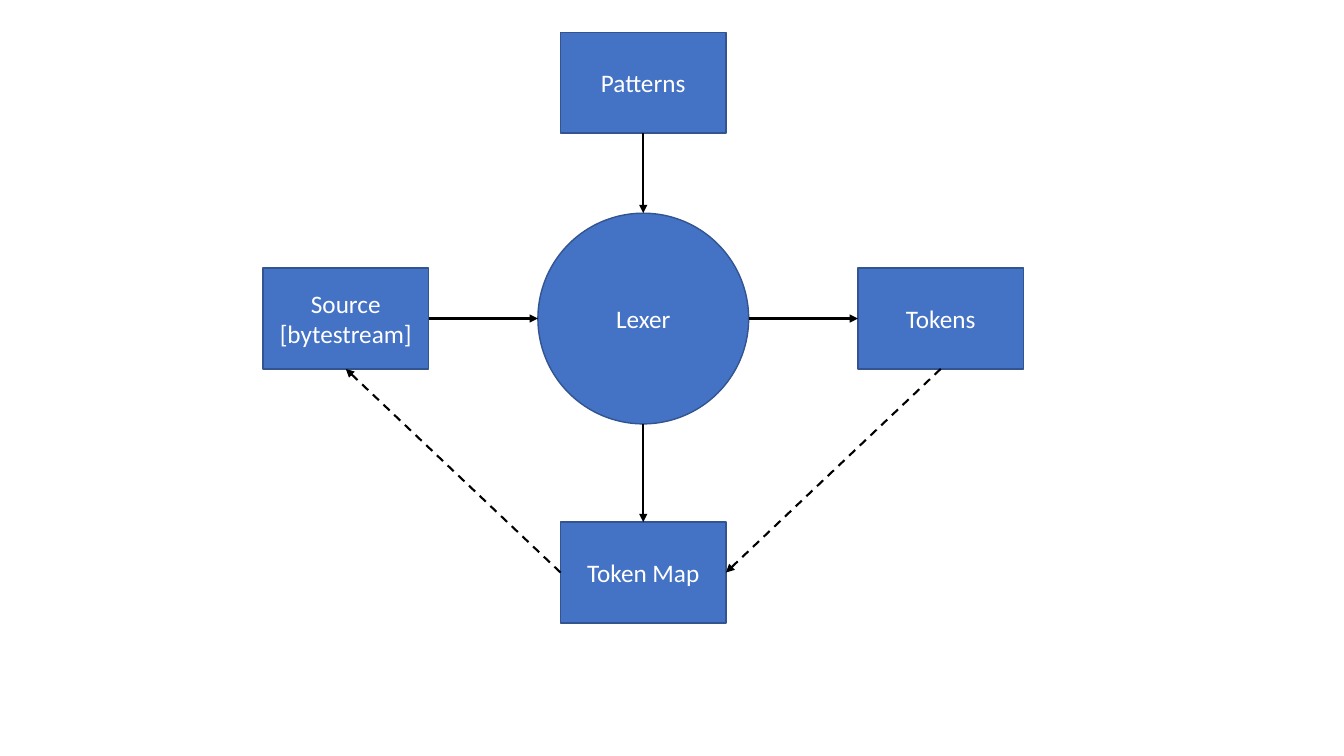
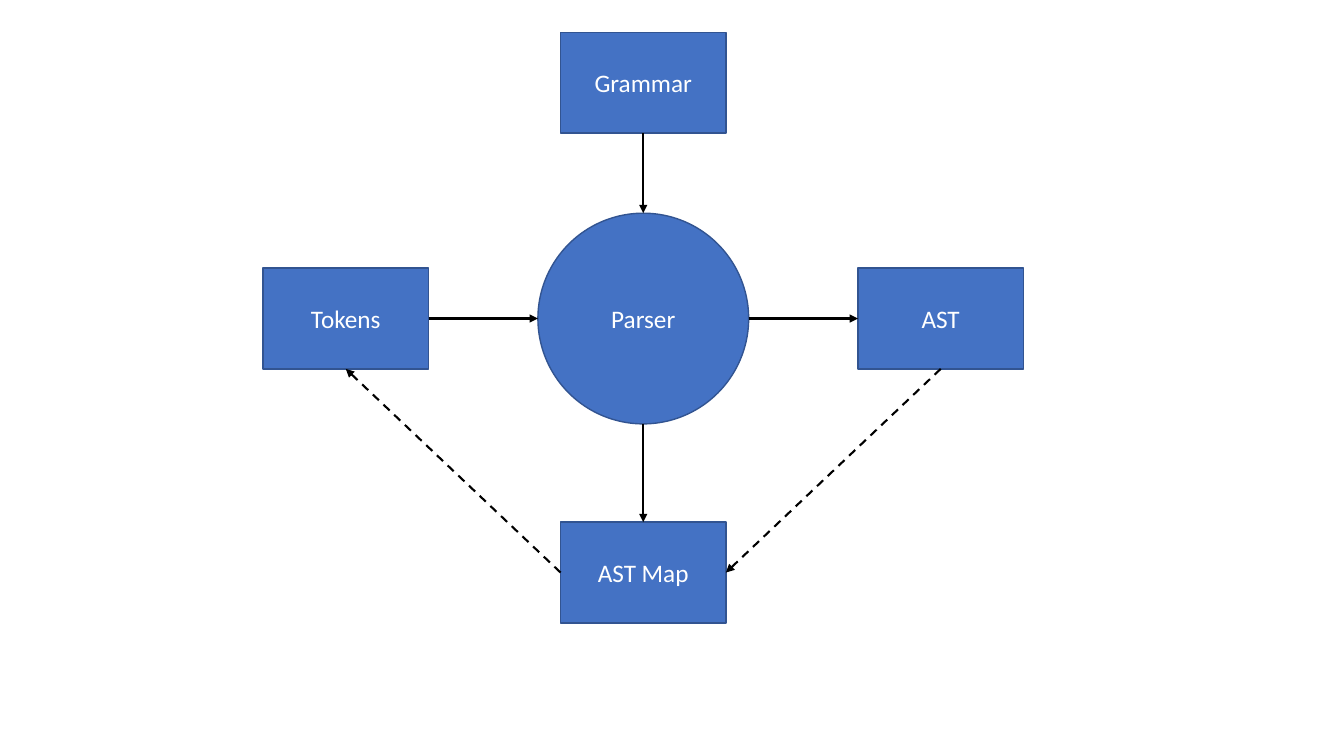
from dataclasses import dataclass

from lxml.etree import SubElement
from pptx import Presentation
from pptx.dml.color import RGBColor
from pptx.enum.dml import MSO_LINE
from pptx.enum.shapes import MSO_CONNECTOR, MSO_SHAPE
from pptx.enum.text import MSO_ANCHOR, PP_ALIGN
from pptx.oxml.ns import qn
from pptx.util import Inches, Pt

STAGES = [
    {"input": "Source [bytestream]", "process": "Lexer", "output": "Tokens",
     "map": "Token Map", "rules": "Patterns"},
    {"input": "Tokens", "process": "Parser", "output": "AST",
     "map": "AST Map", "rules": "Grammar"},
]

# Start node and side, end node and side, dashed
ARROWS = [
    ("input", "right", "process", "left", False),
    ("process", "right", "output", "left", False),
    ("rules", "bottom", "process", "top", False),
    ("process", "bottom", "map", "top", False),
    ("output", "bottom", "map", "right", True),
    ("map", "left", "input", "bottom", True),
]

CENTER_X, CENTER_Y = 6.38, 3.16
SPREAD = 2.95
CENTERS = {
    "input": (CENTER_X - SPREAD, CENTER_Y),
    "process": (CENTER_X, CENTER_Y),
    "output": (CENTER_X + SPREAD, CENTER_Y),
    "map": (CENTER_X, 5.68),
    "rules": (CENTER_X, 0.82),
}
BOX_SIZE = (1.64, 1)
CIRCLE_SIZE = (2.09, 2.09)
SIDES = ["top", "left", "bottom", "right"]


@dataclass(frozen=True)
class Theme:
    """Colours, font and line widths shared by the slides."""
    fill: RGBColor = RGBColor.from_string("4472C4")
    outline: RGBColor = RGBColor.from_string("325491")
    text: RGBColor = RGBColor.from_string("FFFFFF")
    arrow: RGBColor = RGBColor.from_string("000000")
    font: str = "Calibri"
    text_size: Pt = Pt(18)
    outline_width: Pt = Pt(1)
    arrow_width: Pt = Pt(1.5)


THEME = Theme()


def apply_format(target, values):
    """Set each named attribute on the target."""
    for name, value in values.items():
        setattr(target, name, value)


def add_node(page, role, label):
    """Draw a labelled node around its centre and return it."""
    is_process = role == "process"
    kind = MSO_SHAPE.OVAL if is_process else MSO_SHAPE.RECTANGLE
    width, height = CIRCLE_SIZE if is_process else BOX_SIZE
    x, y = CENTERS[role]
    node = page.shapes.add_shape(
        kind, Inches(x - width / 2), Inches(y - height / 2),
        Inches(width), Inches(height))
    node.shadow.inherit = False
    node.fill.solid()
    node.fill.fore_color.rgb = THEME.fill
    node.line.color.rgb = THEME.outline
    node.line.width = THEME.outline_width
    apply_format(node.text_frame, {
        "word_wrap": True, "vertical_anchor": MSO_ANCHOR.MIDDLE})
    para = node.text_frame.paragraphs[0]
    para.alignment = PP_ALIGN.CENTER
    span = para.add_run()
    span.text = label
    apply_format(span.font, {"name": THEME.font, "size": THEME.text_size})
    span.font.color.rgb = THEME.text
    return node


def add_arrow(page, nodes, start, start_side, end, end_side, dashed):
    """Glue an arrow between the given sides of two nodes."""
    arrow = page.shapes.add_connector(MSO_CONNECTOR.STRAIGHT, 0, 0, 0, 0)
    arrow.begin_connect(nodes[start], SIDES.index(start_side))
    arrow.end_connect(nodes[end], SIDES.index(end_side))
    # An ellipse has eight connection sites, so its sides are every second one
    for role, side, tag in ((start, start_side, "stCxn"), (end, end_side, "endCxn")):
        if role == "process":
            site = next(arrow._element.iter(qn(f"a:{tag}")))
            site.set("idx", str(2 * SIDES.index(side)))
    arrow.line.color.rgb = THEME.arrow
    arrow.line.width = THEME.arrow_width
    if dashed:
        arrow.line.dash_style = MSO_LINE.DASH
    SubElement(arrow.line._get_or_add_ln(), qn("a:tailEnd"), type="triangle")
    SubElement(arrow._element.spPr, qn("a:effectLst"))


def add_stage(deck, labels):
    """Add one slide showing a processing stage."""
    page = deck.slides.add_slide(deck.slide_layouts[6])
    nodes = {role: add_node(page, role, label) for role, label in labels.items()}
    for arrow in ARROWS:
        add_arrow(page, nodes, *arrow)


def main():
    """Build and save the deck."""
    deck = Presentation()
    apply_format(deck, {"slide_width": Inches(13.33), "slide_height": Inches(7.5)})
    for labels in STAGES:
        add_stage(deck, labels)
    deck.save("out.pptx")


main()
